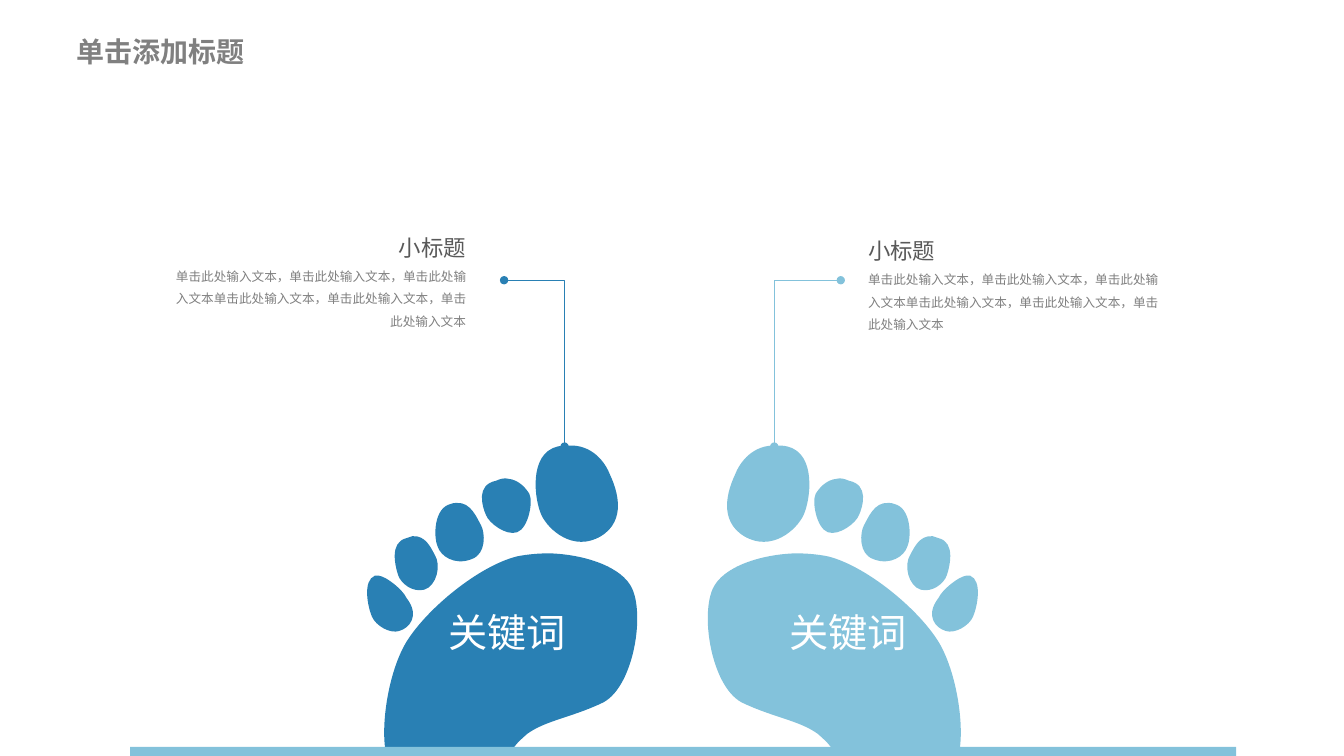
from dataclasses import dataclass

from lxml import etree
from pptx import Presentation
from pptx.dml.color import RGBColor
from pptx.enum import shapes, text
from pptx.oxml import ns
from pptx.util import Inches, Pt

Point = tuple[float, float]
ALIGN = text.PP_ALIGN


@dataclass(frozen=True)
class Theme:
    font: str = "Noto Sans CJK SC"
    dark_blue: str = "2980B4"
    light_blue: str = "83C2DB"
    grey: str = "808080"
    dark_grey: str = "595959"
    white: str = "FFFFFF"
    title_size: float = 20
    keyword_size: float = 28
    heading_size: float = 16
    detail_size: float = 9
    line_width: float = 0.5


@dataclass(frozen=True)
class Foot:
    color: str
    mirrored: bool
    left: float
    keyword: str
    leader_start: Point
    leader_end: Point
    caption_at: Point
    caption_align: ALIGN


THEME = Theme()
SLIDE_WIDTH, SLIDE_HEIGHT = 13.33, 7.5
MIRROR_SUM = 13.34  # a point and its mirror image have x values adding up to this
FOOT_TOP, FOOT_WIDTH, FOOT_HEIGHT = 4.42, 2.68, 3.06
CAPTION_SIZE = (3.09, 1.18)
HEADING = "小标题"
DETAIL = "单击此处输入文本，单击此处输入文本，单击此处输入文本单击此处输入文本，单击此处输入文本，单击此处输入文本"

FEET = [
    Foot(THEME.light_blue, True, 7.02, "关键词",
         (8.34, 2.78), (7.68, 4.43), (8.51, 2.17), ALIGN.LEFT),
    Foot(THEME.dark_blue, False, 3.64, "关键词",
         (5, 2.78), (5.6, 4.43), (1.63, 2.14), ALIGN.RIGHT),
]

# Left foot: each part is a start point, then Bezier curves (x1, y1, x2, y2, x, y) or lines (x, y)
SOLE = [
    (5.45, 5.49), (5.79, 5.5, 6.17, 5.62, 6.27, 5.84), (6.4, 6.13, 6.27, 6.85, 5.96, 6.98),
    (5.66, 7.12, 5.41, 7.15, 5.23, 7.28), (5.15, 7.35, 5.11, 7.39, 5.08, 7.44),
    (5.06, 7.48), (3.83, 7.48), (3.77, 7.21, 3.85, 6.67, 4.03, 6.37),
    (4.24, 6.03, 4.76, 5.61, 5.13, 5.52), (5.23, 5.5, 5.34, 5.49, 5.45, 5.49),
]
TOES = [
    [(3.75, 5.71), (3.84, 5.72, 4, 5.86, 4.03, 5.93), (4.17, 6.11, 4.06, 6.23, 3.96, 6.26),
     (3.87, 6.29, 3.73, 6.21, 3.69, 6.12), (3.65, 6.03, 3.59, 5.76, 3.72, 5.71), (3.75, 5.71)],
    [(4.09, 5.32), (4.22, 5.31, 4.27, 5.43, 4.31, 5.5), (4.38, 5.61, 4.33, 5.81, 4.21, 5.85),
     (4.09, 5.88, 3.98, 5.79, 3.95, 5.71), (3.92, 5.62, 3.86, 5.38, 4.03, 5.34),
     (4.05, 5.33, 4.07, 5.33, 4.09, 5.32)],
    [(4.53, 4.99), (4.67, 4.98, 4.73, 5.14, 4.77, 5.21), (4.81, 5.28, 4.83, 5.5, 4.67, 5.55),
     (4.51, 5.61, 4.37, 5.52, 4.34, 5.42), (4.3, 5.33, 4.3, 5.04, 4.47, 5),
     (4.49, 4.99, 4.51, 4.99, 4.53, 4.99)],
    [(5.04, 4.75), (5.15, 4.76, 5.22, 4.85, 5.25, 4.9), (5.29, 4.98, 5.24, 5.24, 5.13, 5.28),
     (5.02, 5.32, 4.85, 5.19, 4.82, 5.11), (4.78, 5.02, 4.72, 4.81, 4.92, 4.77),
     (4.96, 4.75, 5.01, 4.74, 5.04, 4.75)],
    [(5.64, 4.42), (5.87, 4.41, 6, 4.58, 6.05, 4.71), (6.12, 4.86, 6.22, 5.16, 5.96, 5.32),
     (5.69, 5.48, 5.44, 5.26, 5.37, 5.11), (5.3, 4.96, 5.24, 4.5, 5.53, 4.43),
     (5.57, 4.42, 5.6, 4.42, 5.64, 4.42)],
]


def format_paragraph(paragraph, size: float, color: str, align: ALIGN,
                     spacing: float = 1, bold: bool = False) -> None:
    paragraph.alignment = align
    paragraph.line_spacing = spacing
    paragraph.space_before = Pt(0)
    for run in paragraph.runs:
        run.font.name = THEME.font
        run.font.size = Pt(size)
        run.font.bold = bold
        run.font.color.rgb = RGBColor.from_string(color)
        etree.SubElement(run.font._element, ns.qn("a:ea"), typeface=THEME.font)


def set_box(shape, left: float, top: float, width: float, height: float) -> None:
    shape.left, shape.top = Inches(left), Inches(top)
    shape.width, shape.height = Inches(width), Inches(height)


def place_text(holder, left: float, top: float, width: float, height: float) -> None:
    set_box(holder, left, top, width, height)
    holder.text_frame.word_wrap = True
    holder.text_frame.vertical_anchor = text.MSO_ANCHOR.TOP
    holder.text_frame.auto_size = text.MSO_AUTO_SIZE.SHAPE_TO_FIT_TEXT


def paint(shape, color: str) -> None:
    shape.shadow.inherit = False
    shape.fill.solid()
    shape.fill.fore_color.rgb = RGBColor.from_string(color)
    shape.line.fill.background()


def draw_leader(slide, foot: Foot) -> None:
    ends = [Inches(v) for v in foot.leader_start + foot.leader_end]
    leader = slide.shapes.add_connector(shapes.MSO_CONNECTOR.ELBOW, *ends)
    leader.line.width = Pt(THEME.line_width)
    leader.line.color.rgb = RGBColor.from_string(foot.color)
    properties = leader._element.spPr
    properties.find(ns.qn("a:prstGeom")).set("prst", "bentConnector2")
    for end in ("a:headEnd", "a:tailEnd"):
        etree.SubElement(properties.find(ns.qn("a:ln")), ns.qn(end), type="oval")
    etree.SubElement(properties, ns.qn("a:effectLst"))


def locate(values: tuple, foot: Foot) -> list[tuple[int, int]]:
    """Turn x, y pairs of the left foot into points inside the box of the given foot."""
    pairs = zip(values[::2], values[1::2])
    return [(Inches((MIRROR_SUM - x if foot.mirrored else x) - foot.left),
             Inches(y - FOOT_TOP)) for x, y in pairs]


def build_outline(slide, foot: Foot):
    parts = [SOLE, *TOES]
    corners = [[locate(segment[-2:], foot)[0] for segment in part] for part in parts]
    builder = slide.shapes.build_freeform(*corners[0][0], scale=1.0)
    for index, (start, *others) in enumerate(corners):
        if index:
            builder.move_to(*start)
        builder.add_line_segments(others, close=True)
    outline = builder.convert_to_shape()
    set_box(outline, foot.left, FOOT_TOP, FOOT_WIDTH, FOOT_HEIGHT)

    # Bend the straight segments into curves
    track = next(outline._element.iter(ns.qn("a:path")))
    track.set("w", str(Inches(FOOT_WIDTH)))
    track.set("h", str(Inches(FOOT_HEIGHT)))
    steps = [step for step in track if step.tag != ns.qn("a:close")]
    segments = [segment for part in parts for segment in part]
    for step, segment in zip(steps, segments):
        if len(segment) == 6:
            step.tag = ns.qn("a:cubicBezTo")
        for point in list(step):
            step.remove(point)
        for x, y in locate(segment, foot):
            etree.SubElement(step, ns.qn("a:pt"), x=str(x), y=str(y))
    return outline


def draw_foot(slide, foot: Foot) -> None:
    footprint = build_outline(slide, foot)
    paint(footprint, foot.color)
    frame = footprint.text_frame
    frame.text = foot.keyword
    frame.word_wrap = True
    frame.vertical_anchor = text.MSO_ANCHOR.MIDDLE
    frame.margin_left, frame.margin_top = Inches(0.2), Inches(0.59)
    frame.margin_right, frame.margin_bottom = Inches(0.1), Inches(0.05)
    format_paragraph(frame.paragraphs[0], THEME.keyword_size, THEME.white, ALIGN.CENTER, 1.2)


def fill_caption(caption, foot: Foot) -> None:
    place_text(caption, *foot.caption_at, *CAPTION_SIZE)
    caption.text_frame.text = f"{HEADING}\n{DETAIL}"
    styles = [(THEME.heading_size, THEME.dark_grey), (THEME.detail_size, THEME.grey)]
    for paragraph, (size, color) in zip(caption.text_frame.paragraphs, styles):
        format_paragraph(paragraph, size, color, foot.caption_align, 1.5)
        properties = paragraph._p.get_or_add_pPr()
        properties.set("marL", "0")
        properties.set("indent", "0")
        etree.SubElement(properties, ns.qn("a:buNone"))


def main() -> None:
    deck = Presentation()
    deck.slide_width, deck.slide_height = Inches(SLIDE_WIDTH), Inches(SLIDE_HEIGHT)
    slide = deck.slides.add_slide(deck.slide_layouts.get_by_name("Two Content"))

    # Title
    title = slide.shapes.title
    place_text(title, 0.66, 0.29, 3.3, 0.46)
    title.text_frame.text = "单击添加标题"
    format_paragraph(title.text_frame.paragraphs[0], THEME.title_size, THEME.grey,
                     ALIGN.LEFT, bold=True)

    # Feet with their leaders and captions
    for foot, caption in zip(FEET, list(slide.placeholders)[1:]):
        draw_leader(slide, foot)
        draw_foot(slide, foot)
        fill_caption(caption, foot)

    # Ground
    ground = slide.shapes.add_shape(shapes.MSO_SHAPE.RECTANGLE, Inches(1.29), Inches(7.41),
                                    Inches(10.97), Inches(0.09))
    paint(ground, THEME.light_blue)

    deck.save("out.pptx")


if __name__ == "__main__":
    main()
